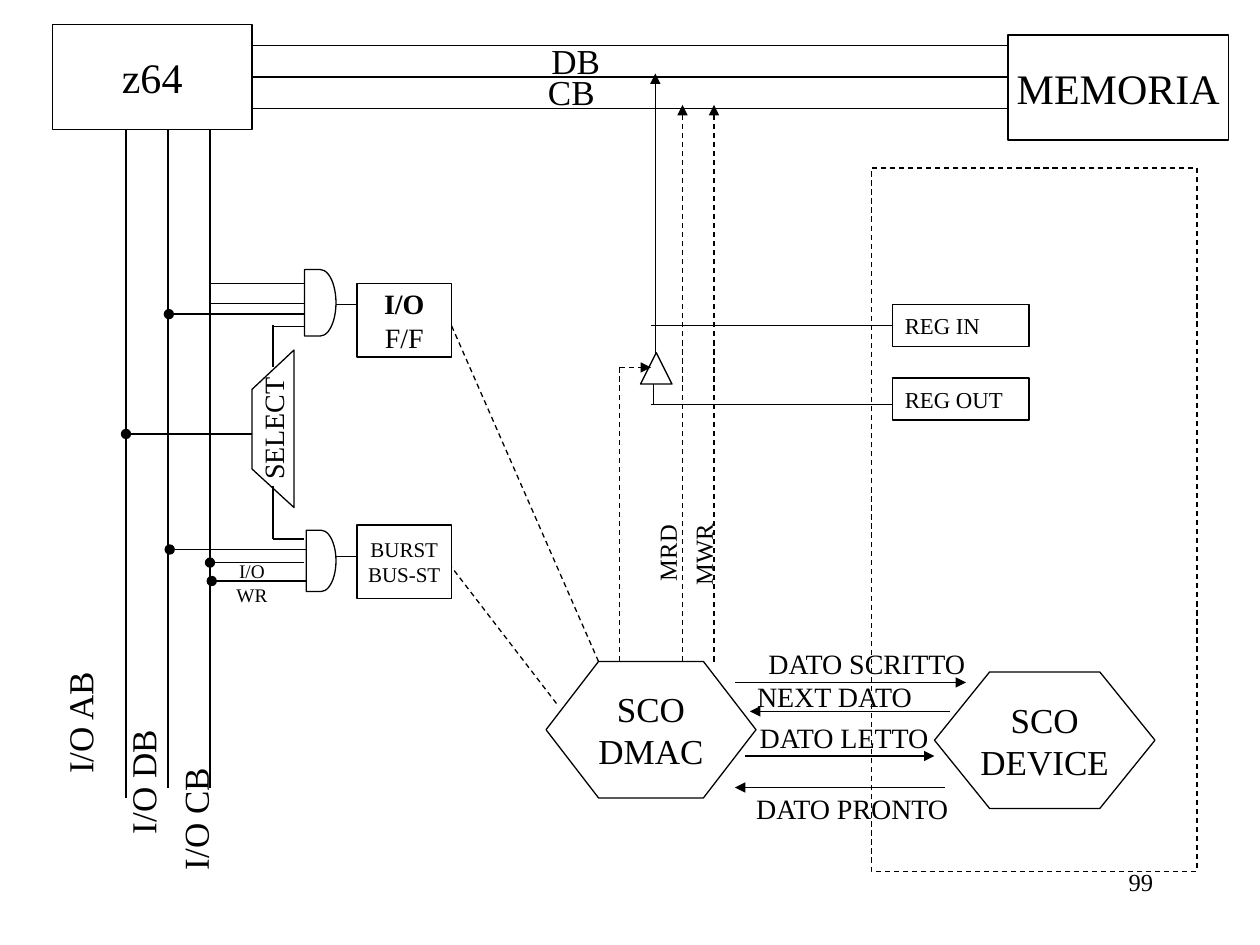
import pptx
import pptx.util
import pptx.dml.color
import pptx.enum.dml
import pptx.enum.shapes
import pptx.enum.text
from pptx.oxml.ns import qn
from lxml import etree

Pt = pptx.util.Pt
KIND = pptx.enum.shapes.MSO_SHAPE
ALIGN = pptx.enum.text.PP_ALIGN
MID = pptx.enum.text.MSO_ANCHOR.MIDDLE
TOP = pptx.enum.text.MSO_ANCHOR.TOP
FONT = "Times New Roman"
INK = "000000"


def tint(code):
    return pptx.dml.color.RGBColor.from_string(code)


def stroke(line, dash=False):
    line.color.rgb = tint(INK)
    line.width = Pt(0.75)
    if dash:
        line.dash_style = pptx.enum.dml.MSO_LINE.DASH


def write(shape, rows, size, align=ALIGN.CENTER, anchor=MID, bold=()):
    frame = shape.text_frame
    frame.word_wrap = align != ALIGN.CENTER
    frame.vertical_anchor = anchor
    for i, row in enumerate(rows):
        para = frame.paragraphs[0] if i == 0 else frame.add_paragraph()
        para.alignment = align
        run = para.add_run()
        run.text = row
        run.font.name = FONT
        run.font.size = Pt(size)
        run.font.bold = row in bold
        run.font.color.rgb = tint(INK)


def label(slide, text, x, y, w, h, size, align=ALIGN.CENTER, turn=0):
    box = slide.shapes.add_textbox(Pt(x), Pt(y), Pt(w), Pt(h))
    box.rotation = turn
    write(box, [text], size, align, TOP)


def upright(slide, text, mid_x, mid_y, w, h, size):
    label(slide, text, mid_x - w / 2, mid_y - h / 2, w, h, size, turn=270)


def plain(shape, dash=False):
    shape.shadow.inherit = False
    shape.fill.background()
    stroke(shape.line, dash)
    return shape


def block(slide, kind, x, y, w, h, dash=False):
    return plain(slide.shapes.add_shape(kind, Pt(x), Pt(y), Pt(w), Pt(h)), dash)


def wire(slide, x1, y1, x2, y2, dash=False, head=None, tail=None):
    link = slide.shapes.add_connector(
        pptx.enum.shapes.MSO_CONNECTOR.STRAIGHT, Pt(x1), Pt(y1), Pt(x2), Pt(y2))
    stroke(link.line, dash)
    ln = link.line._get_or_add_ln()
    for tag, end in (("a:headEnd", head), ("a:tailEnd", tail)):
        if end:
            etree.SubElement(ln, qn(tag)).set("type", end)
    etree.SubElement(link._element.spPr, qn("a:effectLst"))


def buses(slide):
    for y in (26, 44, 62):
        wire(slide, 144, y, 576, y)
    for x, end in ((72, 456), (96, 450), (120, 450)):
        wire(slide, x, 74, x, end)
    label(slide, "DB", 308, 19, 42, 31.5, 20)
    label(slide, "CB", 306, 37, 41, 31.5, 20)
    for text, x, y in (("I/O AB", 45.5, 413), ("I/O DB", 81.5, 447), ("I/O CB", 111.5, 468)):
        upright(slide, text, x, y, 100, 31.5, 20)


def boxes(slide):
    for text, x, y, w in (("z64", 30, 14, 114), ("MEMORIA", 576, 20, 126)):
        write(block(slide, KIND.RECTANGLE, x, y, w, 60), [text], 24)
    for rows, y, size in ((["I/O", "F/F"], 162, 16), (["BURST", "BUS-ST"], 300, 12)):
        write(block(slide, KIND.RECTANGLE, 204, y, 54, 42), rows, size, bold=("I/O",))
    block(slide, KIND.RECTANGLE, 498, 96, 186, 402, dash=True)
    for text, y in (("REG IN", 174), ("REG OUT", 216)):
        write(block(slide, KIND.RECTANGLE, 510, y, 78, 24), [text], 13, ALIGN.LEFT)
    for name, x, y, w, cut in (("DMAC", 312, 378, 120, 0.385), ("DEVICE", 534, 384, 126, 0.404)):
        hexa = block(slide, KIND.HEXAGON, x, y, w, 78)
        hexa.adjustments[0] = cut
        write(hexa, ["SCO", name], 20)


def select(slide):
    pen = slide.shapes.build_freeform(Pt(168), Pt(290))
    pen.add_line_segments([(Pt(x), Pt(y)) for x, y in ((144, 268), (144, 222.5), (168, 200))])
    shape = plain(pen.convert_to_shape())
    write(shape, ["SELECT"], 16)
    shape.text_frame._txBody.bodyPr.set("vert", "vert270")


def gates(slide):
    block(slide, KIND.FLOWCHART_DELAY, 174, 154, 18, 38)
    block(slide, KIND.FLOWCHART_DELAY, 175, 303, 17, 35)
    for x1, y1, x2, y2 in (
            (119.5, 162, 174, 162), (119.5, 173.5, 174, 173.5), (156, 186.5, 174, 186.5),
            (156, 186, 156, 210), (156, 278, 156, 308), (156, 308, 174, 308),
            (192, 174, 204, 174), (192, 318, 204, 318)):
        wire(slide, x1, y1, x2, y2)
    for x, y, end in ((72, 248, 144), (96.5, 179.5, 174), (97, 314, 175),
                      (120, 321.5, 174), (121, 332, 175)):
        wire(slide, x, y, end, y, head="oval")
    label(slide, "I/O", 129.5, 316, 29, 21, 11)
    label(slide, "WR", 128, 330, 32, 21, 11)


def memory(slide):
    block(slide, KIND.ISOSCELES_TRIANGLE, 366, 201.5, 18, 18)
    for y in (186, 231):
        wire(slide, 510, y, 372, y)
    wire(slide, 373.5, 219.5, 373.5, 231)
    wire(slide, 374.5, 202, 374.5, 42, tail="triangle")
    wire(slide, 354, 378, 354, 210, dash=True)
    wire(slide, 354, 210, 372, 210, dash=True, tail="triangle")
    for x in (390, 408):
        wire(slide, x, 378, x, 60, dash=True, tail="triangle")
    for text, x, y in (("MRD", 381.5, 316), ("MWR", 402, 317)):
        upright(slide, text, x, y, 70, 24.5, 14)
    wire(slide, 318, 402, 258, 324, dash=True)
    wire(slide, 342, 378, 258, 186, dash=True)


def signals(slide):
    for text, x, y, start, end, level in (
            ("DATO SCRITTO", 432, 366, 420, 552, 390),
            ("NEXT DATO", 425.5, 384.5, 543, 428.5, 406.5),
            ("DATO LETTO", 427, 408, 426, 534, 432),
            ("DATO PRONTO", 425, 448.5, 540, 420, 450)):
        wire(slide, start, level, end, level, tail="triangle")
        label(slide, text, x, y, 132, 26.5, 16, ALIGN.LEFT)


def main():
    deck = pptx.Presentation()
    deck.slide_width, deck.slide_height = Pt(720), Pt(540)
    slide = deck.slides.add_slide(deck.slide_layouts[6])
    for part in (buses, boxes, select, gates, memory, signals):
        part(slide)
    label(slide, "99", 516, 492, 150, 36, 14, ALIGN.RIGHT)
    deck.save("out.pptx")


if __name__ == "__main__":
    main()
